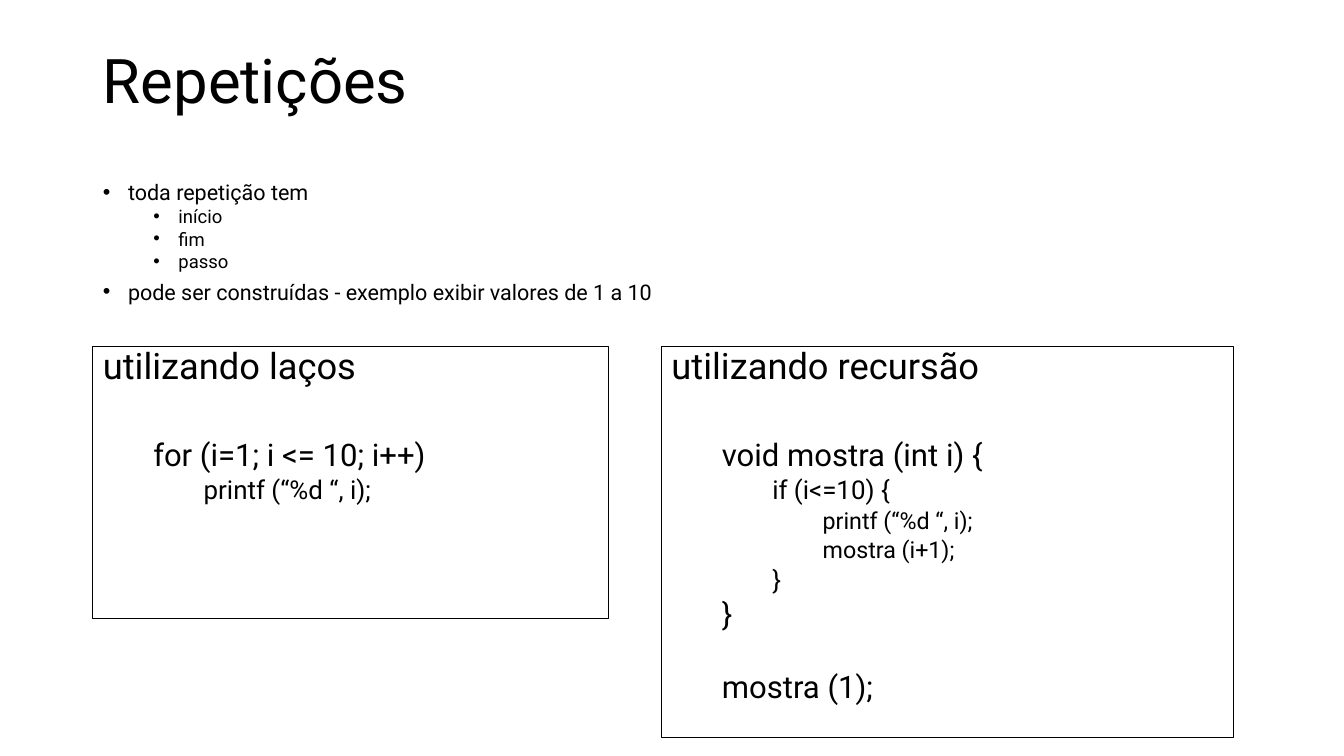
"""Build the slide "Repetições", comparing loops with recursion."""
from lxml.etree import SubElement
from pptx import Presentation
from pptx.dml.color import RGBColor
from pptx.enum.text import MSO_ANCHOR, MSO_AUTO_SIZE, PP_ALIGN
from pptx.oxml.ns import qn
from pptx.util import Inches, Pt

COLORS = {"ink": "000000"}
FONT = "Roboto"
WIDTH, HEIGHT = 13.33, 7.5
LEFT, PANEL_TOP = 0.92, 3.44
INDENT, HANG = 0.5, 0.25
TITLE = "Repetições"

# Each line is (level, text, space before in points).
FACTS = [
    (0, "toda repetição tem", 10),
    (1, "início", 5),
    (1, "fim", 5),
    (1, "passo", 5),
    (0, "pode ser construídas - exemplo exibir valores de 1 a 10", 10),
]
LOOP = [
    (0, "utilizando laços", 10),
    (1, "for (i=1; i <= 10; i++)", 40),
    (2, "printf (“%d “, i);", 5),
]
RECURSION = [
    (0, "utilizando recursão", 10),
    (1, "void mostra (int i) {", 40),
    (2, "if (i<=10) {", 5),
    (3, "printf (“%d “, i);", 5),
    (3, "mostra (i+1);", 5),
    (2, "}", 5),
    (1, "}", 5),
    (1, "mostra (1);", 31),
]
FACT_SIZES = [15.4, 13.2]
CODE_SIZES = [25.9, 22.2, 18.5, 16.6]


def place(box, left, top, width, height, anchor):
    box.left, box.top = Inches(left), Inches(top)
    box.width, box.height = Inches(width), Inches(height)
    frame = box.text_frame
    frame.word_wrap = True
    frame.auto_size = MSO_AUTO_SIZE.NONE
    frame.vertical_anchor = anchor


def format_para(para, size, spacing):
    para.alignment = PP_ALIGN.LEFT
    para.line_spacing = spacing
    for span in para.runs:
        span.font.name = FONT
        span.font.size = Pt(size)
        span.font.bold = False
        span.font.color.rgb = RGBColor.from_string(COLORS["ink"])


def fill_lines(box, lines, sizes, spacing, bullet=None):
    frame = box.text_frame
    frame.text = "\n".join(text for _, text, _ in lines)
    hang = HANG if bullet else 0
    for para, (level, _, before) in zip(frame.paragraphs, lines):
        format_para(para, sizes[level], spacing)
        para.level = level
        para.space_before = Pt(before)
        para.space_after = Pt(0)
        properties = para._p.get_or_add_pPr()
        properties.set("marL", str(Inches(level * INDENT + hang)))
        properties.set("indent", str(Inches(-hang)))
        if bullet:
            SubElement(properties, qn("a:buFont")).set("typeface", "Arial")
            SubElement(properties, qn("a:buChar")).set("char", bullet)
        else:
            SubElement(properties, qn("a:buNone"))


def main():
    deck = Presentation()
    deck.slide_width, deck.slide_height = Inches(WIDTH), Inches(HEIGHT)
    page = deck.slides.add_slide(deck.slide_layouts.get_by_name("Comparison"))
    title, facts, loop, spare, recursion = page.placeholders
    spare.element.getparent().remove(spare.element)

    place(title, LEFT, 0.16, 11.5, 1.34, MSO_ANCHOR.MIDDLE)
    title.text_frame.text = TITLE
    format_para(title.text_frame.paragraphs[0], 44, 0.9)

    place(facts, LEFT, 1.8, 11.31, 1.34, MSO_ANCHOR.TOP)
    fill_lines(facts, FACTS, FACT_SIZES, 0.7, "•")

    panels = [
        (loop, LOOP, LEFT, 5.12, 2.7),
        (recursion, RECURSION, 6.56, 5.67, 3.88),
    ]
    for panel, lines, left, width, height in panels:
        place(panel, left, PANEL_TOP, width, height, MSO_ANCHOR.TOP)
        panel.line.color.rgb = RGBColor.from_string(COLORS["ink"])
        panel.line.width = Pt(0.75)
        fill_lines(panel, lines, CODE_SIZES, 0.8)

    deck.save("out.pptx")


if __name__ == "__main__":
    main()
